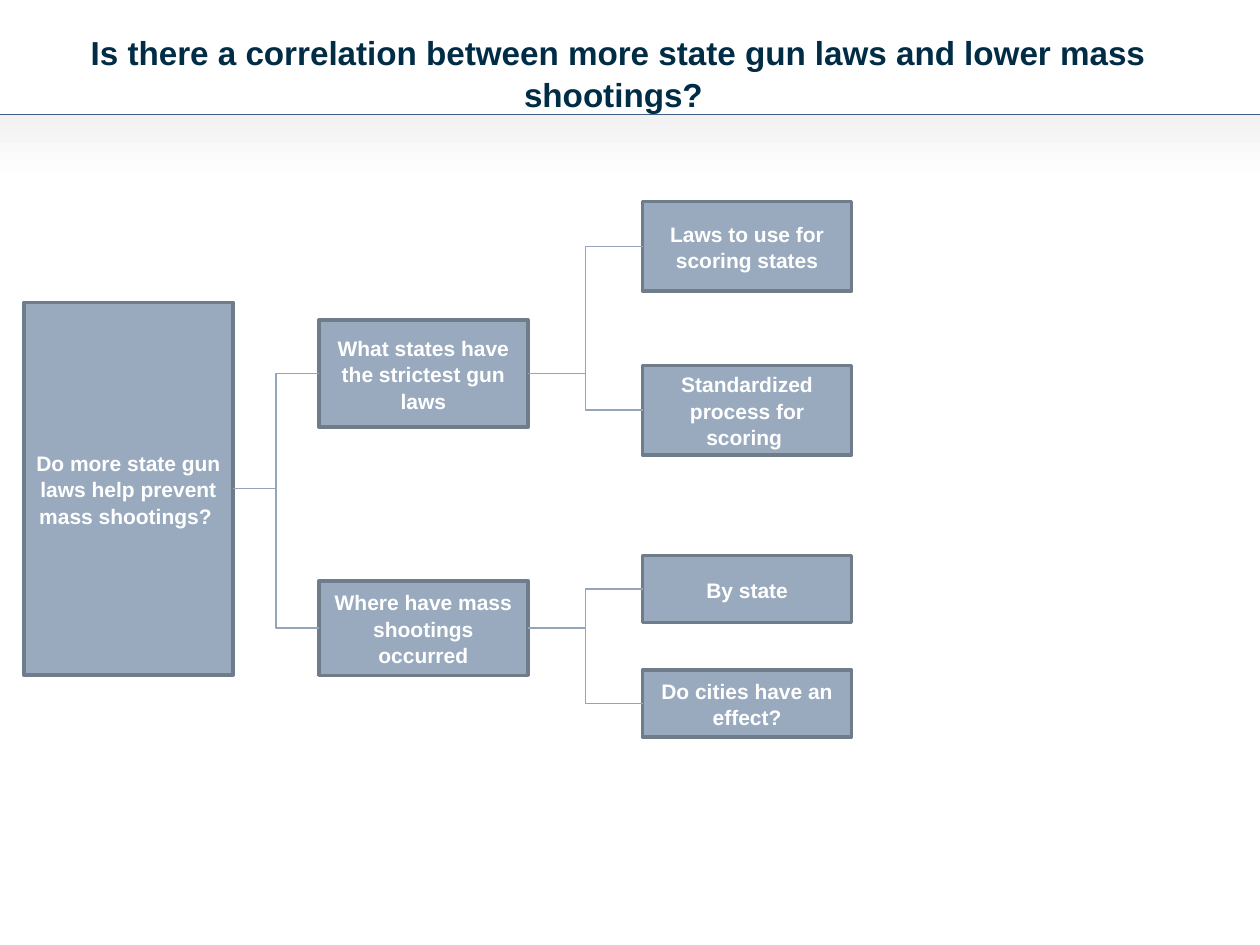
from lxml.etree import SubElement
from pptx import Presentation
from pptx.dml.color import RGBColor
from pptx.enum.shapes import MSO_CONNECTOR, MSO_SHAPE
from pptx.enum.text import MSO_ANCHOR, PP_ALIGN
from pptx.oxml.ns import qn
from pptx.util import Pt

NAVY = RGBColor(0x00, 0x2C, 0x46)
RULE_BLUE = RGBColor(0x40, 0x60, 0x85)
BOX_BLUE = RGBColor(0x99, 0xAA, 0xBE)
BOX_EDGE = RGBColor(0x6F, 0x7C, 0x8A)
LINK_BLUE = RGBColor(0x94, 0xA5, 0xB9)
PALE_GREY = RGBColor(0xF2, 0xF2, 0xF2)
WHITE = RGBColor(0xFF, 0xFF, 0xFF)

BOX_WIDTH = 119.5
COLUMN_LEFTS = [13.7, 182.2, 367.2]
RULE_TOP = 65.5
LEFT_SITE, RIGHT_SITE = 1, 3


def write_text(shape, text, size, color):
    frame = shape.text_frame
    frame.word_wrap = True
    frame.vertical_anchor = MSO_ANCHOR.MIDDLE
    para = frame.paragraphs[0]
    para.alignment = PP_ALIGN.CENTER
    para.line_spacing = 1.05
    span = para.add_run()
    span.text = text
    span.font.color.rgb = color
    font_format = {"name": "Arial", "size": Pt(size), "bold": True}
    for name, value in font_format.items():
        setattr(span.font, name, value)


def add_line(page, kind, color, ends=(0, 0, 0, 0)):
    line = page.shapes.add_connector(kind, *[Pt(end) for end in ends])
    line.line.color.rgb = color
    line.line.width = Pt(0.75)
    SubElement(line.element.spPr, qn("a:effectLst"))
    return line


deck = Presentation()
deck.slide_width, deck.slide_height = Pt(720), Pt(540)
page = deck.slides.add_slide(deck.slide_layouts[6])

title = page.shapes.add_textbox(Pt(13.7), Pt(18), Pt(679), Pt(46))
for side in ("left", "top", "right", "bottom"):
    setattr(title.text_frame, f"margin_{side}", 0)
write_text(
    title,
    "Is there a correlation between more state gun laws and lower mass shootings? ",
    19,
    NAVY,
)

band = page.shapes.add_shape(MSO_SHAPE.RECTANGLE, 0, Pt(RULE_TOP), Pt(720), Pt(37.4))
band.shadow.inherit = False
band.line.fill.background()
band.fill.gradient()
band.fill.gradient_angle = 270
for stop, color, position in zip(band.fill.gradient_stops, (PALE_GREY, WHITE), (0, 1)):
    stop.color.rgb = color
    stop.position = position
add_line(page, MSO_CONNECTOR.STRAIGHT, RULE_BLUE, (0, RULE_TOP, 720, RULE_TOP))

tree = [
    ("question", None, 0, 172.8, 213.1, "Do more state gun laws help prevent mass shootings? "),
    ("strictest", "question", 1, 182.9, 61.2, "What states have the strictest gun laws"),
    ("where", "question", 1, 331.9, 54, "Where have mass shootings occurred"),
    ("laws", "strictest", 2, 115.2, 51.1, "Laws to use for scoring states"),
    ("process", "strictest", 2, 208.8, 51.1, "Standardized process for scoring "),
    ("state", "where", 2, 317.5, 38.2, "By state"),
    ("cities", "where", 2, 383, 38.2, "Do cities have an effect?"),
]

boxes = {}
for key, parent, column, top, height, text in tree:
    box = page.shapes.add_shape(
        MSO_SHAPE.RECTANGLE, Pt(COLUMN_LEFTS[column]), Pt(top), Pt(BOX_WIDTH), Pt(height)
    )
    box.shadow.inherit = False
    box.fill.solid()
    box.fill.fore_color.rgb = BOX_BLUE
    box.line.color.rgb = BOX_EDGE
    box.line.width = Pt(2)
    write_text(box, text, 12, WHITE)
    boxes[key] = box
    if parent:
        link = add_line(page, MSO_CONNECTOR.ELBOW, LINK_BLUE)
        link.begin_connect(boxes[parent], RIGHT_SITE)
        link.end_connect(box, LEFT_SITE)

deck.save("out.pptx")
